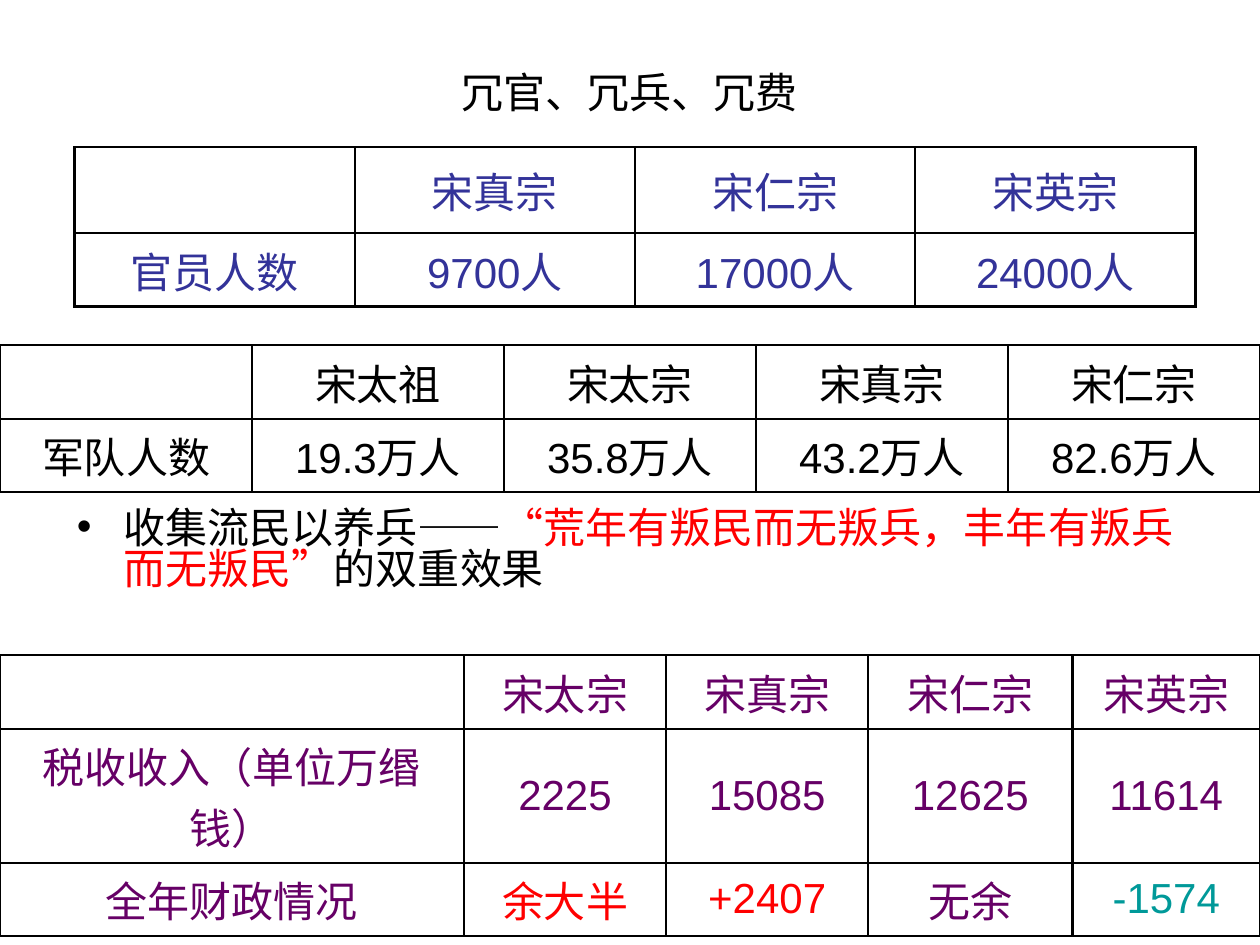
from lxml.etree import SubElement
from pptx import Presentation
from pptx.dml.color import RGBColor
from pptx.enum.text import MSO_ANCHOR, PP_ALIGN
from pptx.oxml.ns import qn
from pptx.util import Cm, Pt

BLACK = RGBColor(0x00, 0x00, 0x00)
WHITE = RGBColor(0xFF, 0xFF, 0xFF)
RED = RGBColor(0xFF, 0x00, 0x00)
BLUE = RGBColor(0x33, 0x33, 0x99)
PURPLE = RGBColor(0x66, 0x00, 0x66)
TEAL = RGBColor(0x00, 0x99, 0x99)

LATIN = "Arial"
CHINESE = "Noto Sans CJK SC"
QUOTE = "Noto Sans CJK JP"
BORDER = Pt(1.47)

OFFICIALS = [["", "宋真宗", "宋仁宗", "宋英宗"],
             ["官员人数", "9700人", "17000人", "24000人"]]
TROOPS = [["", "宋太祖", "宋太宗", "宋真宗", "宋仁宗"],
          ["军队人数", "19.3万人", "35.8万人", "43.2万人", "82.6万人"]]
FINANCES = [["", "宋太宗", "宋真宗", "宋仁宗", "宋英宗"],
            ["税收收入（单位万缗钱）", "2225", "15085", "12625", "11614"],
            ["全年财政情况", "余大半", "+2407", "无余", "-1574"]]
HIGHLIGHTS = {"余大半": RED, "+2407": RED, "-1574": TEAL}
REMARK = [("收集流民以养兵——", BLACK, LATIN, CHINESE),
          ("“", RED, LATIN, CHINESE),
          ("荒年有叛民而无叛兵，丰年有叛兵而无叛民", RED, QUOTE, QUOTE),
          ("”", RED, LATIN, CHINESE),
          ("的双重效果", BLACK, LATIN, CHINESE)]


def add_span(para, text, color, latin=LATIN, chinese=CHINESE):
    span = para.add_run()
    span.text = text
    for name, value in {"size": Pt(24), "name": latin}.items():
        setattr(span.font, name, value)
    span.font.color.rgb = color
    SubElement(span.font._element, qn("a:ea"), typeface=chinese)
    return span


def add_text_frame(page, left, top, width, height, anchor):
    frame = page.shapes.add_textbox(left, top, width, height).text_frame
    for name, value in {"word_wrap": True, "vertical_anchor": anchor}.items():
        setattr(frame, name, value)
    return frame


def add_title(page, left, top, width, height):
    frame = add_text_frame(page, left, top, width, height, MSO_ANCHOR.MIDDLE)
    para = frame.paragraphs[0]
    para.alignment = PP_ALIGN.CENTER
    span = add_span(para, "冗官、冗兵、冗费", BLACK, CHINESE)
    add_text_shadow(span)


def add_text_shadow(span):
    effects = SubElement(span.font._element, qn("a:effectLst"))
    span.font._element.find(qn("a:latin")).addprevious(effects)
    shadow = SubElement(effects, qn("a:outerShdw"), dist="25400", dir="2700000")
    SubElement(shadow, qn("a:srgbClr"), val=str(BLACK))


def add_remark(page, left, top, width, height):
    frame = add_text_frame(page, left, top, width, height, MSO_ANCHOR.TOP)
    para = frame.paragraphs[0]
    properties = para._p.get_or_add_pPr()
    properties.set("marL", str(Cm(0.95)))
    properties.set("indent", str(-Cm(0.95)))
    SubElement(properties, qn("a:buFont"), typeface=LATIN)
    SubElement(properties, qn("a:buChar"), char="•")
    para.line_spacing = 0.82
    for text, color, latin, chinese in REMARK:
        add_span(para, text, color, latin, chinese)


def add_borders(cell):
    properties = cell._tc.get_or_add_tcPr()
    for index, side in enumerate(("lnL", "lnR", "lnT", "lnB")):
        line = SubElement(properties, qn(f"a:{side}"), w=str(BORDER))
        properties.insert(index, line)
        fill = SubElement(line, qn("a:solidFill"))
        SubElement(fill, qn("a:srgbClr"), val=str(BLACK))


def add_grid(page, left, top, widths, heights, rows, color):
    """Add a bordered table; column widths and row heights are in centimetres."""
    table = page.shapes.add_table(len(rows), len(widths), left, top,
                                  Cm(sum(widths)), Cm(sum(heights))).table
    for column, width in zip(table.columns, widths):
        column.width = Cm(width)
    for row, height, texts in zip(table.rows, heights, rows):
        row.height = Cm(height)
        for cell, text in zip(row.cells, texts):
            cell.fill.solid()
            cell.fill.fore_color.rgb = WHITE
            cell.vertical_anchor = MSO_ANCHOR.MIDDLE
            add_borders(cell)
            if text:
                para = cell.text_frame.paragraphs[0]
                para.alignment = PP_ALIGN.CENTER
                add_span(para, text, HIGHLIGHTS.get(text, color))


def main():
    deck = Presentation()
    deck.slide_width, deck.slide_height = Cm(25.4), Cm(19.05)
    page = deck.slides.add_slide(deck.slide_layouts[6])
    add_title(page, Cm(1.27), Cm(0.53), Cm(22.86), Cm(2.64))
    add_remark(page, Cm(1.3), Cm(10.16), Cm(22.86), Cm(3))
    add_grid(page, Cm(0), Cm(6.96), [5.08] * 5, [1.48] * 2, TROOPS, BLACK)
    add_grid(page, Cm(1.5), Cm(2.97), [5.65] * 4, [1.73, 1.48], OFFICIALS, BLUE)
    add_grid(page, Cm(0), Cm(13.21), [9.35, 4.08, 4.07, 4.12, 3.78],
             [1.48, 2.7, 1.48], FINANCES, PURPLE)
    deck.save("out.pptx")


if __name__ == "__main__":
    main()
